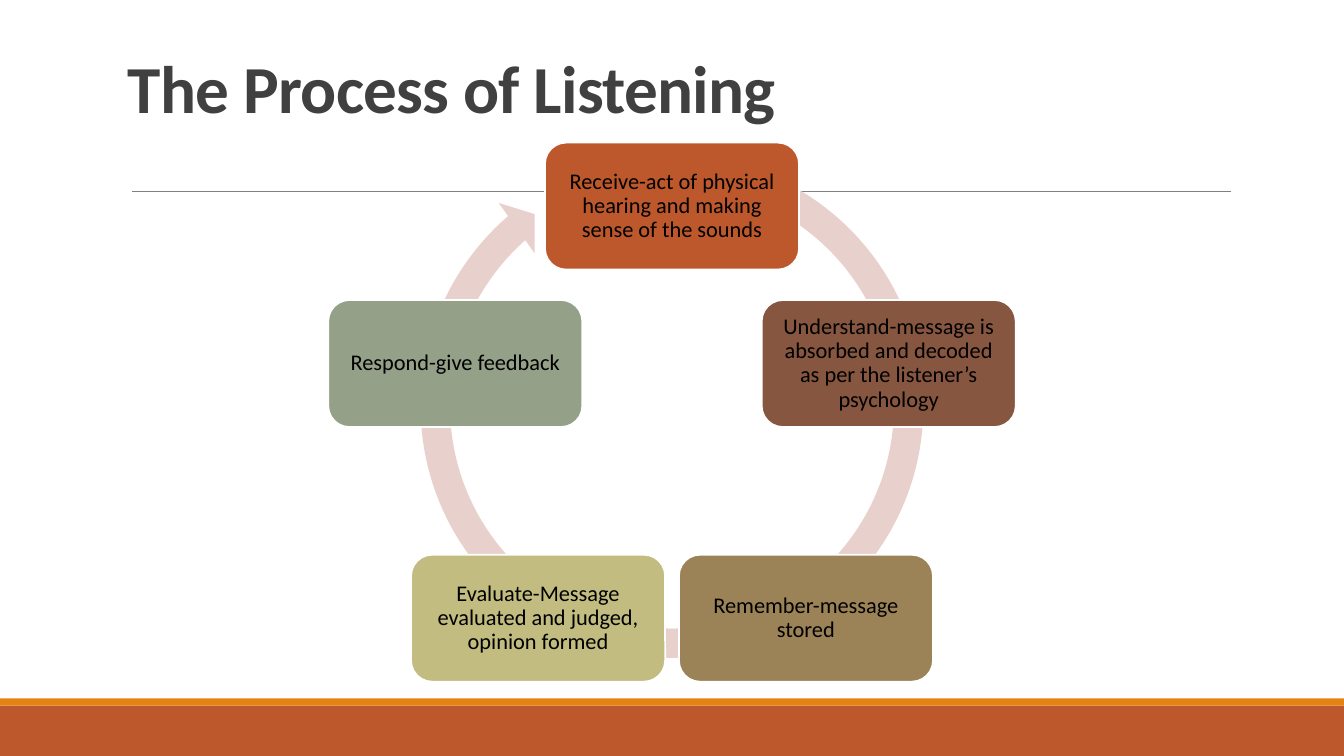
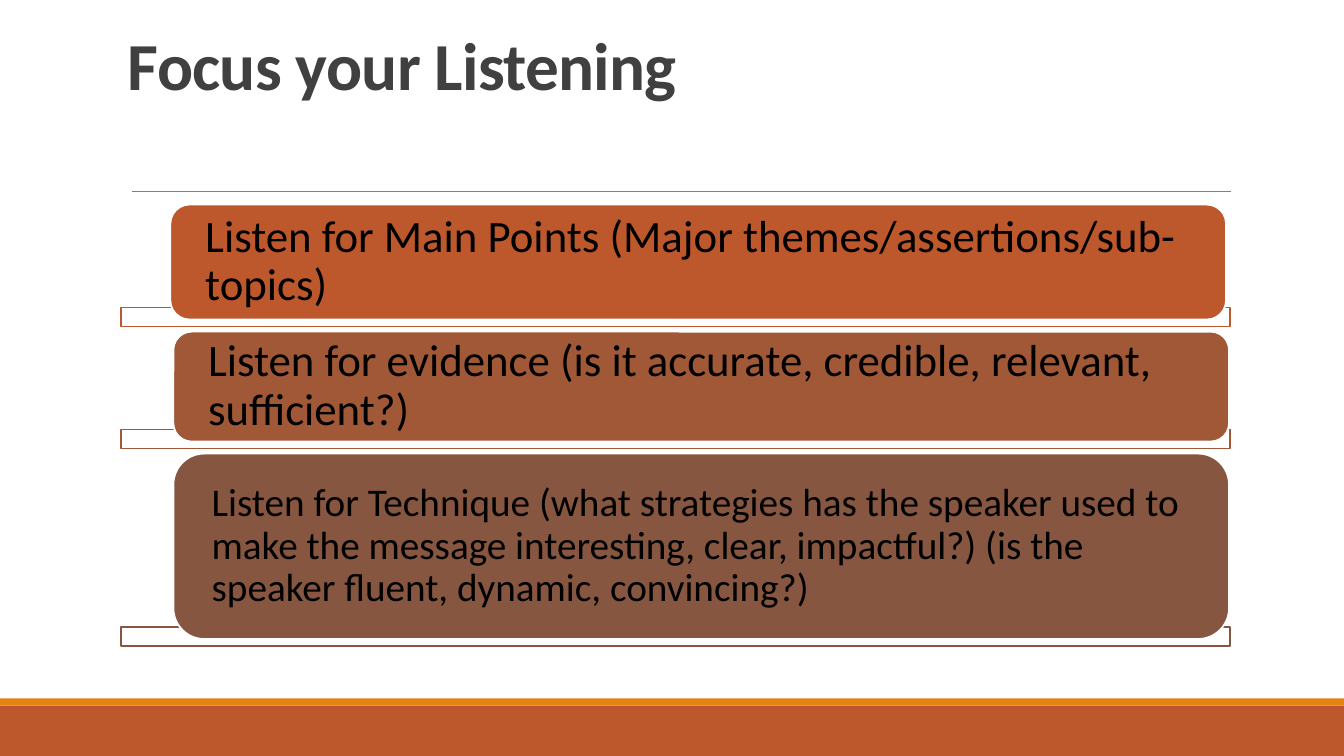
from math import cos, radians, sin

from lxml.etree import SubElement
from pptx import Presentation
from pptx.dml.color import RGBColor
from pptx.enum.shapes import MSO_CONNECTOR, MSO_SHAPE as Shape
from pptx.enum.text import MSO_ANCHOR as Anchor, PP_ALIGN as Align
from pptx.oxml.ns import qn
from pptx.util import Inches, Pt

WIDTH, HEIGHT = 13.33, 7.5
FONT = "Calibri"
WHITE, BLACK = "FFFFFF", "000000"
TITLE_GREY, RULE_GREY = "404040", "808080"
RUST, ORANGE, RING_PINK = "BD582C", "E48312", "E8D1CD"
SIENNA, BROWN = "A05837", "865640"
KHAKI, OLIVE, SAGE = "9B8357", "C2BC80", "94A088"

STEPS = [
    ("Receive-act of physical hearing and making sense of the sounds", RUST),
    ("Understand-message is absorbed and decoded as per the listener’s psychology", BROWN),
    ("Remember-message stored", KHAKI),
    ("Evaluate-Message evaluated and judged, opinion formed", OLIVE),
    ("Respond-give feedback", SAGE),
]
# text, colour, indent of the card, height of the card, text size
FOCUS_POINTS = [
    ("Listen for Main Points (Major themes/assertions/sub-topics)",
     RUST, 0.49, 1.14, 32),
    ("Listen for evidence (is it accurate, credible, relevant, sufficient?)",
     SIENNA, 0.52, 1.09, 32),
    ("Listen for Technique (what strategies has the speaker used to make the "
     "message interesting, clear, impactful?) (is the speaker fluent, dynamic, "
     "convincing?)", BROWN, 0.52, 1.84, 28),
]


def color(hex_code):
    return RGBColor.from_string(hex_code)


def set_all(target, values):
    for name, value in values.items():
        setattr(target, name, value)


def add_block(page, kind, box, fill, line=None):
    """Add a flat filled shape, outlined only when a line colour is given."""
    block = page.shapes.add_shape(kind, *map(Inches, box))
    block.shadow.inherit = False
    block.fill.solid()
    block.fill.fore_color.rgb = color(fill)
    if line:
        block.line.color.rgb = color(line)
        block.line.width = Pt(1.25)
    else:
        block.line.fill.background()
    return block


def write(shape, text, size, ink=BLACK, bold=False, align=Align.LEFT,
          spacing=0.9, anchor=Anchor.MIDDLE, insets=(0.1, 0.05)):
    """Fill a shape with one paragraph and return its run."""
    side, edge = map(Inches, insets)
    frame = shape.text_frame
    set_all(frame, {"word_wrap": True, "vertical_anchor": anchor,
                    "margin_left": side, "margin_right": side,
                    "margin_top": edge, "margin_bottom": edge})
    para = frame.paragraphs[0]
    set_all(para, {"alignment": align, "line_spacing": spacing})
    span = para.add_run()
    span.text = text
    set_all(span.font, {"name": FONT, "size": Pt(size), "bold": bold})
    span.font.color.rgb = color(ink)
    return span


def add_title(page, text, box):
    title = page.shapes.add_textbox(*map(Inches, box))
    span = write(title, text, 48, TITLE_GREY, bold=True, spacing=0.85,
                 anchor=Anchor.BOTTOM)
    span._r.get_or_add_rPr().set("spc", "-50")


def add_base_page(deck, title, title_box):
    """Add a page with the footer bands, the title rule and the title."""
    page = deck.slides.add_slide(deck.slide_layouts[6])
    add_block(page, Shape.RECTANGLE, (0, 7, WIDTH, 0.5), RUST)
    add_block(page, Shape.RECTANGLE, (0, 6.93, WIDTH, 0.07), ORANGE)
    rule = page.shapes.add_connector(
        MSO_CONNECTOR.STRAIGHT, *map(Inches, (1.31, 1.9, 12.21, 1.9)))
    rule.line.color.rgb = color(RULE_GREY)
    rule.line.width = Pt(0.5)
    SubElement(rule._element.spPr, qn("a:effectLst"))
    add_title(page, title, title_box)
    return page


def add_cycle(page, box):
    """Place the steps clockwise on a circle over a ring-shaped arrow."""
    left, top, width, height = box
    ring = add_block(page, Shape.CIRCULAR_ARROW, box, RING_PINK)
    for index, value in enumerate((0.055, 3.307, 137.395, 174.082, 0.058)):
        ring.adjustments[index] = value
    card_width, card_height, radius = 2.52, 1.26, 2.26
    center_x, center_y = left + width / 2, top + height / 2 + 0.27
    for index, (text, fill) in enumerate(STEPS):
        angle = radians(index * 360 / len(STEPS))
        card_left = center_x + radius * sin(angle) - card_width / 2
        card_top = center_y - radius * cos(angle) - card_height / 2
        card = add_block(page, Shape.ROUNDED_RECTANGLE,
                         (card_left, card_top, card_width, card_height),
                         fill, WHITE)
        write(card, text, 16, align=Align.CENTER, insets=(0.07, 0.07))


def add_focus_list(page, left, top, width):
    """Stack cards, each overlapping the outlined bar at its foot."""
    card_width, bar_height, overlap, gap = 10.47, 0.19, 0.12, 0.05
    for text, fill, indent, height, size in FOCUS_POINTS:
        bar_top = top + height - overlap
        bar = add_block(page, Shape.RECTANGLE,
                        (left, bar_top, width, bar_height), WHITE, fill)
        bar_color = bar._element.spPr.find(qn("a:solidFill"))[0]
        SubElement(bar_color, qn("a:alpha"), val="90000")
        card = add_block(page, Shape.ROUNDED_RECTANGLE,
                         (left + indent, top, card_width, height), fill, WHITE)
        write(card, text, size, insets=(0.29, 0))
        top = bar_top + bar_height + gap


def main():
    deck = Presentation()
    set_all(deck, {"slide_width": Inches(WIDTH), "slide_height": Inches(HEIGHT)})
    process = add_base_page(deck, "The Process of Listening", (1.17, 0.31, 11, 1))
    add_cycle(process, (4.01, 1.38, 5.31, 5.31))
    focus = add_base_page(deck, "Focus your Listening", (1.17, 0.26, 11, 0.82))
    add_focus_list(focus, 1.2, 2.03, 11)
    deck.save("out.pptx")


if __name__ == "__main__":
    main()
